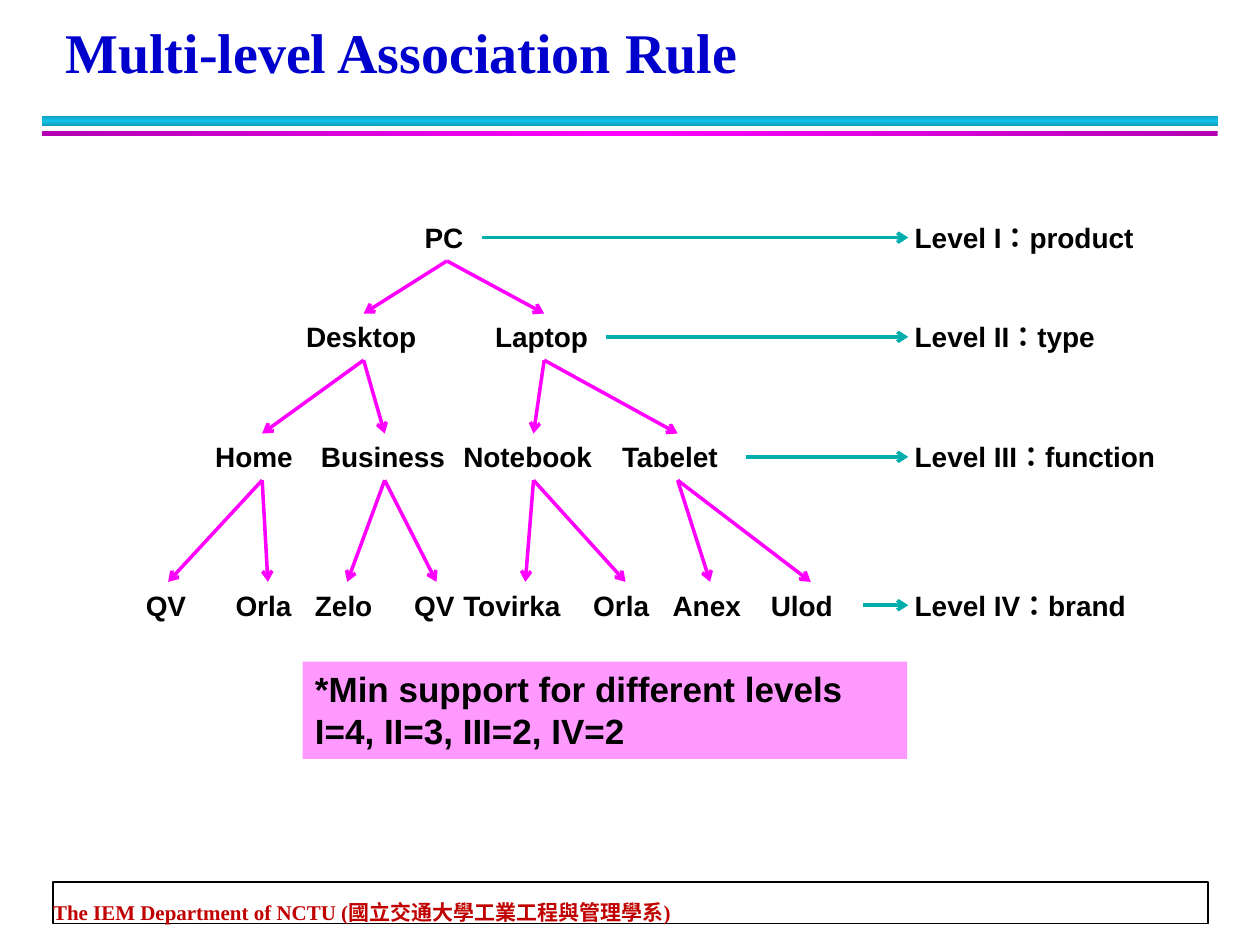
from dataclasses import dataclass

from lxml.etree import SubElement
from pptx import Presentation
from pptx.dml.color import RGBColor
from pptx.enum.lang import MSO_LANGUAGE_ID
from pptx.enum.shapes import MSO_CONNECTOR, MSO_SHAPE
from pptx.enum.text import MSO_ANCHOR, MSO_AUTO_SIZE, PP_ALIGN
from pptx.oxml.ns import qn
from pptx.util import Cm, Pt


@dataclass(frozen=True)
class Theme:
    title: str = "0000CC"
    footer: str = "C00000"
    text: str = "000000"
    paper: str = "FFFFFF"
    note: str = "FF99FF"
    branch: str = "FF00FF"
    level: str = "00AEAE"
    cyan_band: tuple = ("0E9BBA", "12C2E9", "0E9BBA")
    magenta_band: tuple = ("B200B2", "FF00FF", "B200B2")
    serif: str = "Times New Roman"
    sans: str = "Arial"
    title_size: int = 32
    note_size: int = 20
    node_size: int = 16
    footer_size: int = 12
    line_width: int = 2


THEME = Theme()
ROW_HEIGHT = 0.94
LABEL_LEFT = 18.19
LABEL_WIDTH = 6.2
LEVEL_ARROW_END = 18.31

# Each level: top, label, nodes as (name, left, width).
# Every node has two children, in order, on the level below.
LEVELS = [
    (4.32, "Level I：product", [("PC", 8.31, 1.4)]),
    (6.32, "Level II：type", [("Desktop", 5.92, 2.82), ("Laptop", 9.73, 2.48)]),
    (8.74, "Level III：function",
     [("Home", 4.09, 2.39), ("Business", 6.22, 3.07),
      ("Notebook", 9.09, 3.33), ("Tabelet", 12.29, 2.74)]),
    (11.73, "Level IV：brand",
     [("QV", 2.69, 1.4), ("Orla", 4.5, 1.8),
      ("Zelo", 6.1, 1.8), ("QV", 8.1, 1.4),
      ("Tovirka", 9.09, 3), ("Orla", 11.71, 1.8),
      ("Anex", 13.31, 2.01), ("Ulod", 15.29, 2.11)]),
]


def to_cm(box):
    return [Cm(length) for length in box]


def write_text(shape, text, *, size=THEME.node_size, font=THEME.sans,
               color=THEME.text, anchor=MSO_ANCHOR.TOP, spacing=None,
               margins=True, grow=True, language=None):
    frame = shape.text_frame
    frame.word_wrap = True
    frame.vertical_anchor = anchor
    frame.auto_size = (MSO_AUTO_SIZE.SHAPE_TO_FIT_TEXT if grow
                       else MSO_AUTO_SIZE.NONE)
    if not margins:
        frame.margin_left = frame.margin_right = 0
        frame.margin_top = frame.margin_bottom = 0
    frame.text = text
    for paragraph in frame.paragraphs:
        paragraph.alignment = PP_ALIGN.LEFT
        if spacing:
            paragraph.line_spacing = Pt(spacing)
        for run in paragraph.runs:
            run.font.name = font
            run.font.size = Pt(size)
            run.font.bold = True
            run.font.color.rgb = RGBColor.from_string(color)
            if language:
                run.font.language_id = language


def add_text(slide, box, text, **text_format):
    shape = slide.shapes.add_textbox(*to_cm(box))
    write_text(shape, text, **text_format)
    return shape


def add_rectangle(slide, box, fill=None, line=None):
    shape = slide.shapes.add_shape(MSO_SHAPE.RECTANGLE, *to_cm(box))
    shape.shadow.inherit = False
    if fill:
        shape.fill.solid()
        shape.fill.fore_color.rgb = RGBColor.from_string(fill)
    if line:
        shape.line.color.rgb = RGBColor.from_string(line)
        shape.line.width = Pt(1)
    else:
        shape.line.fill.background()
    return shape


def add_band(slide, box, colors, angle):
    """Add a rectangle whose gradient spreads the colours evenly."""
    band = add_rectangle(slide, box)
    band.fill.gradient()
    band.fill.gradient_angle = angle
    stops = band.element.spPr.find(".//" + qn("a:gsLst"))
    for stop in list(stops):
        stops.remove(stop)
    for index, color in enumerate(colors):
        position = 100000 * index // (len(colors) - 1)
        stop = SubElement(stops, qn("a:gs"), pos=str(position))
        SubElement(stop, qn("a:srgbClr"), val=color)


def add_arrow(slide, color, start, start_side, end=None, end_x=None):
    """Run an arrow from a side of start to the top of end, or level to end_x."""
    middle = start.top + start.height // 2
    arrow = slide.shapes.add_connector(
        MSO_CONNECTOR.STRAIGHT, start.left, middle, end_x or start.left, middle)
    arrow.begin_connect(start, start_side)
    if end is not None:
        arrow.end_connect(end, 0)
    arrow.line.color.rgb = RGBColor.from_string(color)
    arrow.line.width = Pt(THEME.line_width)
    line = arrow.element.spPr.find(qn("a:ln"))
    SubElement(line, qn("a:tailEnd"), type="arrow")
    SubElement(arrow.element.spPr, qn("a:effectLst"))


def add_frame(slide):
    """Add the title, the bands under it and the footer."""
    add_band(slide, (0.85, 2.33, 23.7, 0.21), THEME.cyan_band, 90)
    add_band(slide, (0.85, 2.64, 23.7, 0.1), THEME.magenta_band, 0)
    add_rectangle(slide, (1.07, 17.78, 23.29, 0.84), THEME.paper, THEME.text)
    add_text(slide, (1.07, 17.93, 23.24, 0.71),
             "The IEM Department of NCTU (國立交通大學工業工程與管理學系)",
             size=THEME.footer_size, font=THEME.serif, color=THEME.footer,
             anchor=MSO_ANCHOR.BOTTOM, spacing=20, margins=False)
    add_text(slide, (1.07, 0.36, 23.01, 1.47), "Multi-level Association Rule",
             size=THEME.title_size, font=THEME.serif, color=THEME.title,
             anchor=MSO_ANCHOR.BOTTOM, spacing=36, grow=False)


def add_tree(slide):
    parents = []
    for top, label, row in LEVELS:
        nodes = [add_text(slide, (left, top, width, ROW_HEIGHT), name)
                 for name, left, width in row]
        if parents:
            for index, node in enumerate(nodes):
                add_arrow(slide, THEME.branch, parents[index // 2], 2, end=node)
        add_arrow(slide, THEME.level, nodes[-1], 3, end_x=Cm(LEVEL_ARROW_END))
        add_text(slide, (LABEL_LEFT, top, LABEL_WIDTH, ROW_HEIGHT), label,
                 language=MSO_LANGUAGE_ID.TRADITIONAL_CHINESE)
        parents = nodes


def main():
    presentation = Presentation()
    presentation.slide_width = Cm(25.4)
    presentation.slide_height = Cm(19.05)
    slide = presentation.slides.add_slide(presentation.slide_layouts[6])
    add_frame(slide)
    add_tree(slide)
    note = add_rectangle(slide, (6.1, 13.34, 12.19, 1.96), THEME.note)
    write_text(note, "*Min support for different levels\nI=4, II=3, III=2, IV=2",
               size=THEME.note_size)
    presentation.save("out.pptx")


if __name__ == "__main__":
    main()
